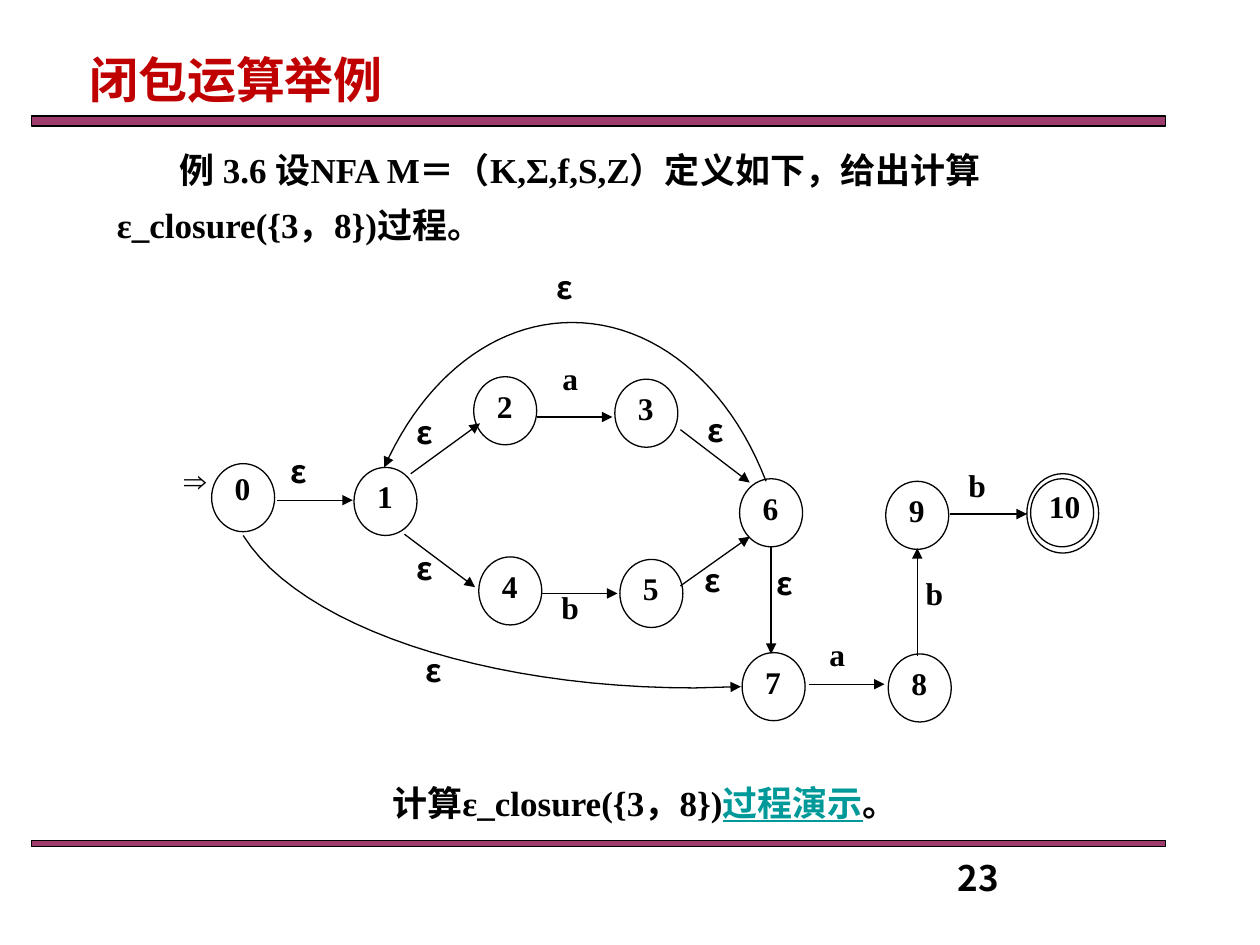
from dataclasses import dataclass

from lxml import etree
from pptx import Presentation
from pptx.dml.color import RGBColor
from pptx.enum.shapes import MSO_CONNECTOR, MSO_SHAPE
from pptx.enum.text import PP_ALIGN
from pptx.oxml.ns import qn
from pptx.util import Inches, Pt

RECTANGLE = MSO_SHAPE.RECTANGLE
ELLIPSE = MSO_SHAPE.OVAL
STRAIGHT = MSO_CONNECTOR.STRAIGHT
LEFT, CENTER, JUSTIFY = PP_ALIGN.LEFT, PP_ALIGN.CENTER, PP_ALIGN.JUSTIFY
SERIF, SANS = "Times New Roman", "Noto Sans CJK SC"
BLACK, WHITE, RED, TEAL, PLUM = "000000", "FFFFFF", "C00000", "009999", "993366"
CURVE_STEPS = 24

NODES = {
    "0": (6.8, 16.8), "1": (18.1, 17.1), "2": (27.6, 9.9), "3": (38.8, 10.1),
    "4": (28, 24.2), "5": (39.2, 24.4), "6": (48.7, 18), "7": (48.9, 31.8),
    "8": (60.5, 31.9), "9": (60.3, 18.2), "10": (71.8, 18),
}
NODE_LABEL_BOXES = {"0": (0.2, -0.1, 4.5), "10": (-0.3, 0.2, 6)}
EDGES = [
    (12, 19.7, 18, 19.7), (54.2, 34.3, 60.2, 34.3), (65.4, 20.8, 71.5, 20.8),
    (32.6, 13.1, 38.6, 13.1), (33, 27.1, 39, 27.1), (22.6, 17.6, 28.1, 13.6),
    (44, 26.5, 49.5, 22.6), (44, 14.1, 49.5, 18.3), (22.1, 22.4, 27.7, 26.6),
    (51.2, 23.3, 51.2, 31.9), (62.8, 32.1, 62.8, 23.5),
]
CURVES = [
    [(9.3, 22.5), (13.8, 29.7), (28.4, 34.6), (45.1, 34.6), (48.8, 34.5)],
    [(50.8, 18.2), (47.8, 10.4), (41.9, 5.6), (35.4, 5.6), (29.3, 5.6), (23.7, 9.9), (20.5, 17.1)],
]
EDGE_LABELS = [
    ("⇒", 2.5, 16.1, 6), ("a", 33, 8, 4.5), ("ε", 11.5, 15.4, 4.5),
    ("ε", 21.1, 12.3, 5.2), ("ε", 21.1, 23.1, 5.2), ("ε", 49.7, 24.3, 5.2),
    ("ε", 44.2, 12.1, 5.2), ("ε", 44, 24, 5.2), ("ε", 22.2, 31.2, 4.5),
    ("a", 54.2, 29.9, 4.5), ("b", 61.9, 25.1, 4.5), ("b", 65.3, 16.5, 4.5),
    ("b", 33, 26.2, 4.5), ("ε", 32.6, 0.8, 4.5),
]


@dataclass
class Box:
    left: int
    top: int
    width: int
    height: int
    columns: int
    rows: int

    def point(self, column, row):
        return (round(self.left + self.width * column / self.columns),
                round(self.top + self.height * row / self.rows))

    def area(self, column, row, columns, rows):
        return (*self.point(column, row),
                round(self.width * columns / self.columns),
                round(self.height * rows / self.rows))

    def region(self, column, row, columns, rows):
        return Box(*self.area(column, row, columns, rows), columns, rows)


def color(value):
    return RGBColor.from_string(value)


def outline(shape, arrow=False):
    shape.line.color.rgb = color(BLACK)
    shape.line.width = Pt(0.75)
    if arrow:
        etree.SubElement(shape.line._get_or_add_ln(), qn("a:tailEnd"), type="triangle")


def add_figure(slide, kind, area, fill=None, opacity=None):
    shape = slide.shapes.add_shape(kind, *area)
    shape.shadow.inherit = False
    if fill:
        shape.fill.solid()
        shape.fill.fore_color.rgb = color(fill)
    else:
        shape.fill.background()
    if opacity:
        tint = shape.fill._xPr.find(".//" + qn("a:srgbClr"))
        etree.SubElement(tint, qn("a:alpha"), val=str(opacity * 1000))
    outline(shape)


def add_text(slide, area, runs, size, font=SERIF, align=LEFT, spacing=1, indent=0):
    text_frame = slide.shapes.add_textbox(*area).text_frame
    text_frame.word_wrap = True
    paragraph = text_frame.paragraphs[0]
    paragraph.alignment = align
    paragraph.line_spacing = spacing
    if indent:
        paragraph._p.get_or_add_pPr().set("indent", str(Inches(indent)))
    for text, ink, underline in runs:
        run = paragraph.add_run()
        run.text = text
        run.font.size = Pt(size)
        run.font.bold = True
        run.font.name = font
        run.font.color.rgb = color(ink)
        if underline:
            run.font.underline = True
        etree.SubElement(run.font._element, qn("a:ea"), typeface=SANS)


def add_edge(slide, start, end):
    connector = slide.shapes.add_connector(STRAIGHT, *start, *end)
    outline(connector, arrow=True)
    etree.SubElement(connector._element.spPr, qn("a:effectLst"))


def bezier(start, first, second, end):
    for step in range(1, CURVE_STEPS + 1):
        t = step / CURVE_STEPS
        weights = ((1 - t) ** 3, 3 * t * (1 - t) ** 2, 3 * t * t * (1 - t), t ** 3)
        yield tuple(sum(weight * value for weight, value in zip(weights, axis))
                    for axis in zip(start, first, second, end))


def add_curve(slide, box, anchors):
    points = [anchors[0]]
    for index in range(0, len(anchors) - 3, 3):
        points.extend(bezier(*anchors[index:index + 4]))
    if len(anchors) % 3 == 2:
        points.append(anchors[-1])
    places = [box.point(*point) for point in points]
    builder = slide.shapes.build_freeform(*places[0], scale=1)
    builder.add_line_segments(places[1:], close=False)
    shape = builder.convert_to_shape()
    shape.shadow.inherit = False
    shape.fill.background()
    outline(shape, arrow=True)


def add_header(slide, box):
    add_figure(slide, RECTANGLE, box.area(2.5, 9.2, 90, 0.8), PLUM, 96)
    add_text(slide, box.area(-0.8, 2.5, 86.7, 5.9), [("闭包运算举例", RED, False)],
             28, SANS, JUSTIFY, 1.2, 0.69)


def add_statement(slide, box):
    text = "例 3.6 设NFA M＝（K,Σ,f,S,Z）定义如下，给出计算ε_closure({3，8})过程。"
    add_text(slide, box.area(0, 0, box.columns, box.rows), [(text, BLACK, False)],
             20, spacing=1.3, indent=0.5)


def add_automaton(slide, box):
    for name, (column, row) in NODES.items():
        add_figure(slide, ELLIPSE, box.area(column, row, 5, 5.4), WHITE)
        if name == "10":
            add_figure(slide, ELLIPSE, box.area(column - 0.3, row - 0.4, 5.7, 6.3))
        right, down, width = NODE_LABEL_BOXES.get(name, (0.2, 0.3, 4.5))
        add_text(slide, box.area(column + right, row + down, width, 5.3),
                 [(name, BLACK, False)], 18, align=CENTER)
    for left, top, right, bottom in EDGES:
        add_edge(slide, box.point(left, top), box.point(right, bottom))
    for anchors in CURVES:
        add_curve(slide, box, anchors)
    for text, column, row, width in EDGE_LABELS:
        add_text(slide, box.area(column, row, width, 5.3), [(text, BLACK, False)],
                 18, SANS if text == "ε" else SERIF, CENTER)


def add_footer(slide, box):
    runs = [("计算ε_closure({3，8})", BLACK, False), ("过程演示", TEAL, True), ("。", BLACK, False)]
    add_text(slide, box.area(28.3, 0, 45.8, 4.3), runs, 20, align=CENTER)
    add_figure(slide, RECTANGLE, box.area(2.5, 5.2, 90, 0.5), PLUM, 96)
    add_text(slide, box.area(75, 6, 23.3, 2.7), [("23", BLACK, False)], 20, SANS)


def main():
    presentation = Presentation()
    presentation.slide_width, presentation.slide_height = Inches(10), Inches(7.5)
    slide = presentation.slides.add_slide(presentation.slide_layouts[6])
    page = Box(0, 0, presentation.slide_width, presentation.slide_height, 100, 75)
    add_header(slide, page.region(0, 0, 100, 10))
    add_statement(slide, page.region(8.3, 10.3, 83.3, 9.3))
    add_automaton(slide, page.region(10, 20, 80, 40))
    add_footer(slide, page.region(0, 61.5, 100, 13.5))
    presentation.save("out.pptx")


if __name__ == "__main__":
    main()
